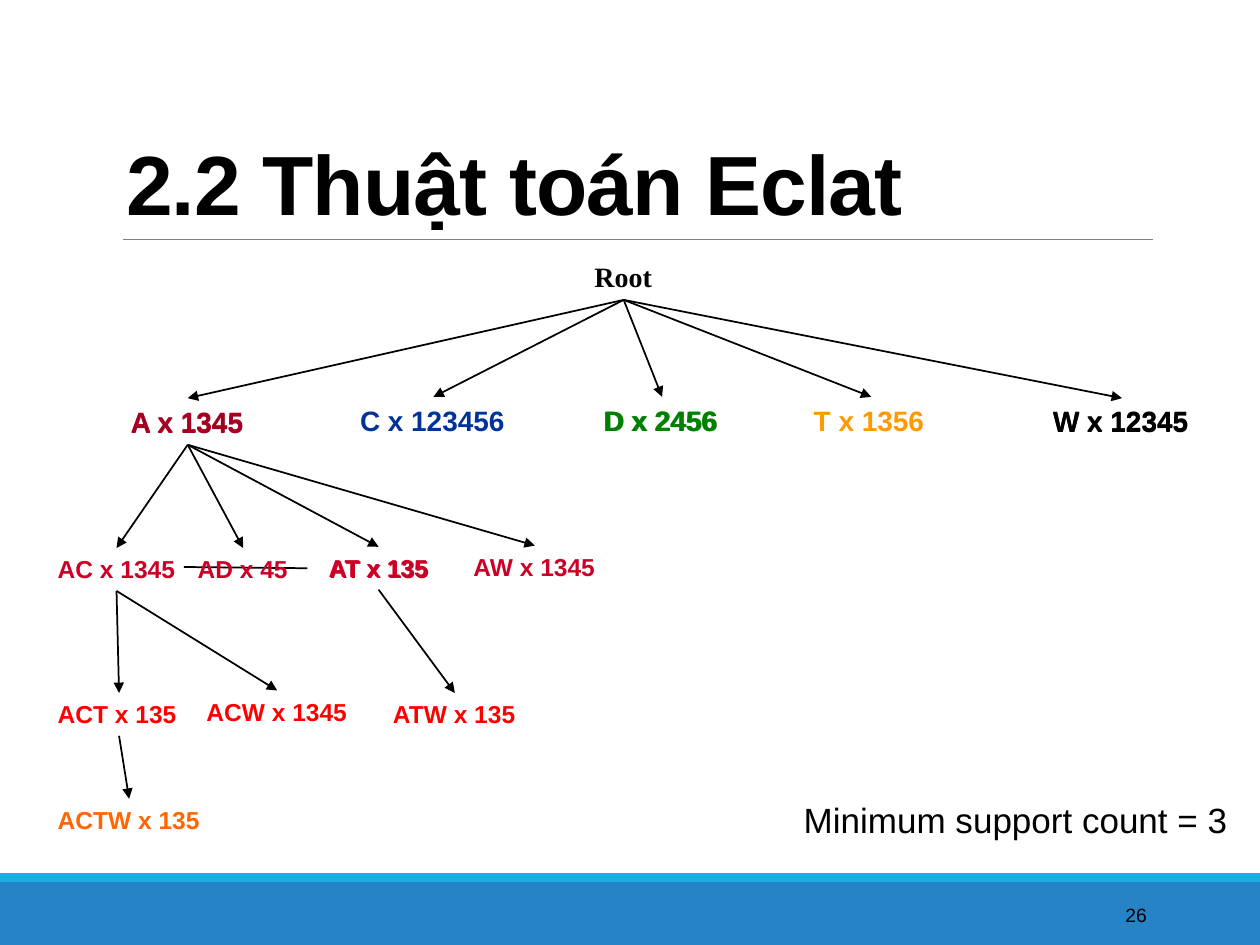
from lxml.etree import SubElement
from pptx import Presentation
from pptx.dml.color import RGBColor
from pptx.enum.shapes import MSO_CONNECTOR, MSO_SHAPE
from pptx.enum.text import MSO_ANCHOR, MSO_AUTO_SIZE, PP_ALIGN
from pptx.oxml.ns import qn
from pptx.util import Inches, Pt

TITLE = "2.2 Thuật toán Eclat"
BARS = [(7, 0.5, "2683C6"), (6.93, 0.07, "1CADE4")]
RULES = [
    (0.98, 1.9, 9.15, 1.9, "808080", 0.5),
    (5.27, 3.65, 5.27, 3.65, "000000", 3),
    (1.46, 4.5, 2.44, 4.51, "000000", 1),
]
HIGH = {14: 0.34, 16: 0.37, 20: 0.44}
NODES = {
    "Root": ("Root", 4.62, 2.01, 0.66, 16, "000000"),
    "A": ("A x 1345", 0.94, 3.16, 1.1, 16, "A50021"),
    "C": ("C x 123456", 2.76, 3.15, 1.36, 16, "003399"),
    "D": ("D x 2456", 4.7, 3.15, 1.11, 16, "008000"),
    "T": ("T x 1356", 6.36, 3.15, 1.11, 16, "FF9900"),
    "W": ("W x 12345", 8.26, 3.16, 1.29, 16, "000000"),
    "AC": ("AC x 1345", 0.36, 4.35, 1.13, 14, "CC0027"),
    "AD": ("AD x 45", 1.47, 4.35, 0.92, 14, "CC0027"),
    "AT": ("AT x 135", 2.51, 4.34, 0.99, 14, "CC0027"),
    "AW": ("AW x 1345", 3.66, 4.33, 1.17, 14, "CC0027"),
    "ACT": ("ACT x 135", 0.36, 5.5, 1.17, 14, "FF0000"),
    "ACW": ("ACW x 1345", 1.54, 5.48, 1.32, 14, "FF0000"),
    "ATW": ("ATW x 135", 3.02, 5.5, 1.18, 14, "FF0000"),
    "ACTW": ("ACTW x 135", 0.36, 6.34, 1.33, 14, "FF6600"),
}
TREE = {
    "Root": ["A", "C", "D", "T", "W"],
    "A": ["AC", "AD", "AT", "AW"],
    "AC": ["ACT", "ACW"],
    "AT": ["ATW"],
    "ACT": ["ACTW"],
}
DOUBLES = {"A": (0.94, 3.17), "D": (4.69, 3.15), "W": (8.26, 3.15), "AT": (2.52, 4.35)}
WRAPPED = {"AC"}


def paint(part, code):
    part.rgb = RGBColor.from_string(code)


def write(para, text, size, code, bold=False, face="Arial"):
    run = para.add_run()
    run.text = text
    run.font.size, run.font.bold, run.font.name = Pt(size), bold, face
    paint(run.font.color, code)
    return run


def label(slide, text, x, y, w, size, code, bold=True, wrap=False, face="Arial"):
    box = slide.shapes.add_textbox(Inches(x), Inches(y), Inches(w), Inches(HIGH[size]))
    box.text_frame.word_wrap = wrap
    write(box.text_frame.paragraphs[0], text, size, code, bold, face)
    return box


def draw(slide, x1, y1, x2, y2, code="000000", width=1):
    line = slide.shapes.add_connector(
        MSO_CONNECTOR.STRAIGHT, Inches(x1), Inches(y1), Inches(x2), Inches(y2))
    paint(line.line.color, code)
    line.line.width = Pt(width)
    SubElement(line._element.spPr, qn("a:effectLst"))
    return line


def link(slide, start, end):
    line = draw(slide, 0, 0, 1, 1)
    line.begin_connect(start, 2)
    line.end_connect(end, 0)
    SubElement(line.line._get_or_add_ln(), qn("a:tailEnd"), type="triangle")


def head(slide):
    title = slide.shapes.title
    title.left, title.top = Inches(0.9), Inches(0.31)
    title.width, title.height = Inches(8.25), Inches(1.59)
    frame = title.text_frame
    frame.auto_size, frame.vertical_anchor = MSO_AUTO_SIZE.NONE, MSO_ANCHOR.BOTTOM
    para = frame.paragraphs[0]
    para.alignment, para.line_spacing = PP_ALIGN.LEFT, 0.85
    run = write(para, TITLE, 48, "000000", True)
    run._r.get_or_add_rPr().set("spc", "-50")


def number(slide):
    box = slide.shapes.add_textbox(Inches(8.12), Inches(7.06), Inches(1.08), Inches(0.4))
    box.text_frame.vertical_anchor = MSO_ANCHOR.MIDDLE
    box.text_frame.word_wrap = True
    para = box.text_frame.paragraphs[0]
    para.alignment = PP_ALIGN.RIGHT
    write(para, "26", 11, "000000")


def main():
    """Build the Eclat search tree slide."""
    prs = Presentation()
    prs.slide_width, prs.slide_height = Inches(10), Inches(7.5)
    slide = prs.slides.add_slide(prs.slide_layouts[5])
    for top, high, code in BARS:
        bar = slide.shapes.add_shape(
            MSO_SHAPE.RECTANGLE, 0, Inches(top), Inches(10), Inches(high))
        bar.shadow.inherit = False
        bar.fill.solid()
        paint(bar.fill.fore_color, code)
        bar.line.fill.background()
    head(slide)
    number(slide)
    for rule in RULES:
        draw(slide, *rule)
    for key, (x, y) in DOUBLES.items():
        text, _, _, *rest = NODES[key]
        label(slide, text, x, y, *rest)
    boxes = {}
    for key, node in NODES.items():
        face = "Times New Roman" if key == "Root" else "Arial"
        boxes[key] = label(slide, *node, wrap=key in WRAPPED, face=face)
    for key, kids in TREE.items():
        for kid in kids:
            link(slide, boxes[key], boxes[kid])
    label(slide, "Minimum support count = 3", 6.28, 6.29, 3.59, 20, "000000", bold=False)
    prs.save("out.pptx")


if __name__ == "__main__":
    main()
